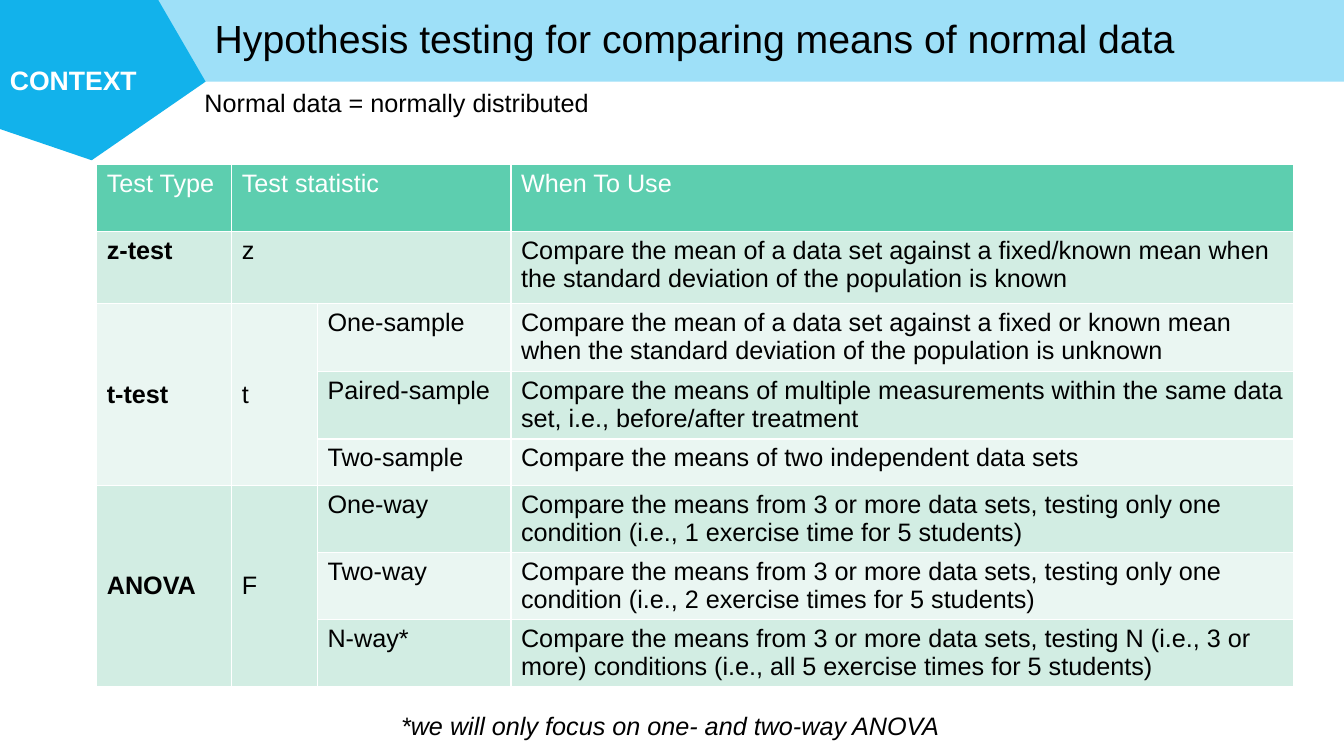
import pptx
import pptx.util
import pptx.dml.color
import pptx.enum.shapes
import pptx.enum.text

prs = pptx.Presentation()
prs.slide_width = pptx.util.Inches(13.333)
prs.slide_height = pptx.util.Inches(7.5)
unit = prs.slide_height / 90
anchor = pptx.enum.text.MSO_ANCHOR


def grid(*cells):
    return [pptx.util.Emu(round(cell * unit)) for cell in cells]


def style(para, text, size, color, bold=False, slant=False):
    para.text = text
    para.alignment = pptx.enum.text.PP_ALIGN.LEFT
    font = para.font
    font.name, font.size = "Arial", pptx.util.Pt(size)
    font.bold, font.italic = bold, slant
    font.color.rgb = pptx.dml.color.RGBColor.from_string(color)


slide = prs.slides.add_slide(prs.slide_layouts[5])
shapes = slide.shapes

band = shapes.add_shape(pptx.enum.shapes.MSO_SHAPE.RECTANGLE, *grid(11.04, 0, 148.96, 9.72))
pen = shapes.build_freeform(*grid(18.84, 0), scale=1.0)
pen.add_line_segments([grid(*spot) for spot in [(0, 0), (0, 15.36), (10.92, 19.08), (24.48, 9.72)]])
badge = pen.convert_to_shape()
for shape, color in [(band, "9EE0F8"), (badge, "12B2EB")]:
    shape.shadow.inherit = False
    shape.fill.solid()
    shape.fill.fore_color.rgb = pptx.dml.color.RGBColor.from_string(color)
    shape.line.fill.background()
badge.text_frame.vertical_anchor = anchor.MIDDLE
style(badge.text_frame.paragraphs[0], "CONTEXT", 19, "FFFFFF", bold=True)

title = shapes.title
title.left, title.top, title.width, title.height = grid(24.36, 1.08, 136.92, 7.44)
frame = title.text_frame
frame.auto_size = pptx.enum.text.MSO_AUTO_SIZE.NONE
frame.vertical_anchor = anchor.MIDDLE
head = frame.paragraphs[0]
style(head, "Hypothesis testing for comparing means of normal data", 28, "000000")
head.line_spacing = 0.9
head.space_before = pptx.util.Pt(10)
shapes.element.append(title.element)

rows = [
    ("Test Type", "Test statistic", "", "When To Use"),
    ("z-test", "z", "",
     "Compare the mean of a data set against a fixed/known mean when the standard deviation of the population is known"),
    ("t-test", "t", "One-sample",
     "Compare the mean of a data set against a fixed or known mean when the standard deviation of the population is unknown"),
    ("", "", "Paired-sample",
     "Compare the means of multiple measurements within the same data set, i.e., before/after treatment"),
    ("", "", "Two-sample", "Compare the means of two independent data sets"),
    ("ANOVA", "F", "One-way",
     "Compare the means from 3 or more data sets, testing only one condition (i.e., 1 exercise time for 5 students)"),
    ("", "", "Two-way",
     "Compare the means from 3 or more data sets, testing only one condition (i.e., 2 exercise times for 5 students)"),
    ("", "", "N-way*",
     "Compare the means from 3 or more data sets, testing N (i.e., 3 or more) conditions (i.e., all 5 exercise times for 5 students)"),
]
widths = grid(16.08, 10.2, 23.04, 93.12)
heights = grid(8, 8.6, 8.1, 8, 5.5, 8, 8, 8)
table = shapes.add_table(len(rows), len(widths), *grid(11.52, 19.56), sum(widths), sum(heights)).table
for col, width in zip(table.columns, widths):
    col.width = width
for row, height in zip(table.rows, heights):
    row.height = height

for r, texts in enumerate(rows):
    for c, text in enumerate(texts):
        cell = table.cell(r, c)
        fill = "5DCEAF" if r == 0 else ("EAF6F2", "D2EDE3")[r % 2]
        cell.fill.solid()
        cell.fill.fore_color.rgb = pptx.dml.color.RGBColor.from_string(fill)
        if text:
            ink = "000000" if r else "FFFFFF"
            style(cell.text_frame.paragraphs[0], text, 18, ink, bold=r > 0 and c == 0)

for r in (0, 1):
    table.cell(r, 1).merge(table.cell(r, 2))
for r in (2, 5):
    for c in (0, 1):
        table.cell(r, c).merge(table.cell(r + 2, c))
        table.cell(r, c).vertical_anchor = anchor.MIDDLE

notes = [
    ("*we will only focus on one- and two-way ANOVA", (46.56, 84, 66.96, 4.8), True),
    ("Normal data = normally distributed", (23.16, 9.84, 48.6, 4.8), False),
]
for text, spot, slant in notes:
    frame = shapes.add_textbox(*grid(*spot)).text_frame
    frame.word_wrap = False
    frame.auto_size = pptx.enum.text.MSO_AUTO_SIZE.SHAPE_TO_FIT_TEXT
    style(frame.paragraphs[0], text, 18, "000000", slant=slant)

prs.save("out.pptx")
